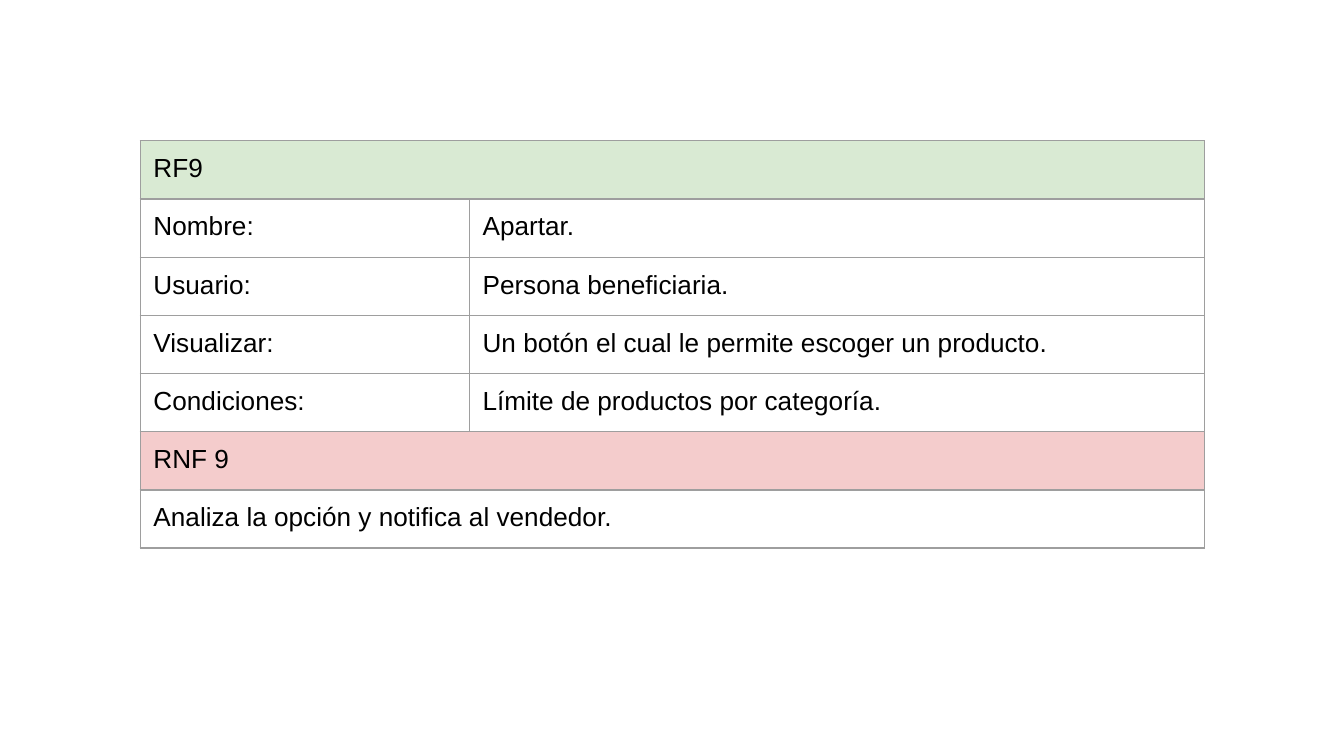
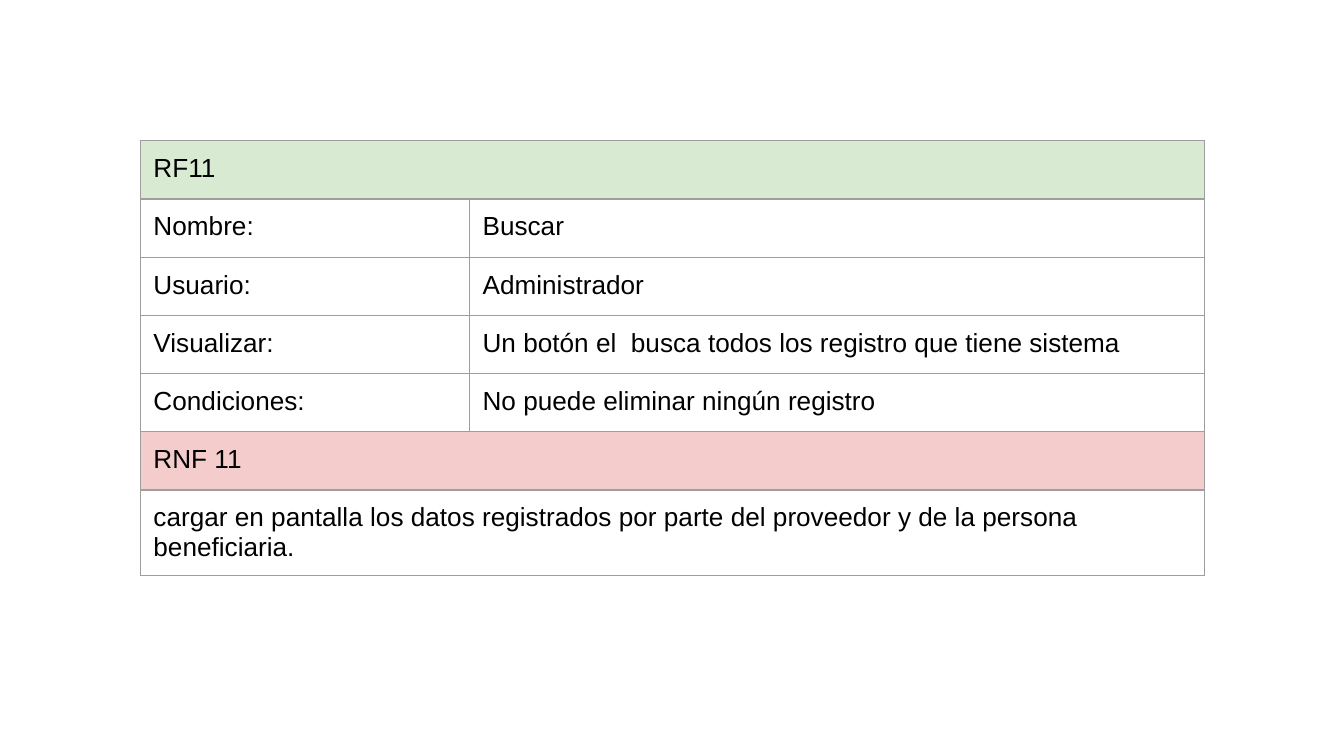
from lxml import etree
from pptx import Presentation
from pptx.dml.color import RGBColor
from pptx.oxml.ns import qn
from pptx.util import Cm, Pt

GREEN, RED, GREY, BLACK = "D9EAD3", "F4CCCC", "9E9E9E", "000000"
LABELS = ["Nombre:", "Usuario:", "Visualizar:", "Condiciones:"]
COLUMN_WIDTHS = [6.22, 13.9]
ROW_HEIGHT = 1.1
MARGINS = dict.fromkeys(["margin_left", "margin_top", "margin_right", "margin_bottom"], Cm(0.25))
FONT = {"name": "Arial", "size": Pt(14), "bold": False}

REQUIREMENTS = [
    ("RF9",
     ["Apartar.", "Persona beneficiaria.",
      "Un botón el cual le permite escoger un producto.",
      "Límite de productos por categoría."],
     "RNF 9", "Analiza la opción y notifica al vendedor."),
    ("RF11",
     ["Buscar", "Administrador",
      "Un botón el  busca todos los registro que tiene sistema",
      "No puede eliminar ningún registro"],
     "RNF 11",
     "cargar en pantalla los datos registrados por parte del proveedor y de la persona beneficiaria."),
]


def format_cell(cell, fill):
    for name, value in MARGINS.items():
        setattr(cell, name, value)
    if fill:
        cell.fill.solid()
        cell.fill.fore_color.rgb = RGBColor.from_string(fill)
    else:
        cell.fill.background()
    # Border lines must come before the fill in the cell properties
    properties = cell._tc.get_or_add_tcPr()
    for position, side in enumerate(["a:lnL", "a:lnR", "a:lnT", "a:lnB"]):
        line = etree.Element(qn(side), w=str(Pt(0.75)))
        solid = etree.SubElement(line, qn("a:solidFill"))
        etree.SubElement(solid, qn("a:srgbClr"), val=GREY)
        properties.insert(position, line)


def write_cell(cell, words):
    span = cell.text_frame.paragraphs[0].add_run()
    span.text = words
    for name, value in FONT.items():
        setattr(span.font, name, value)
    span.font.color.rgb = RGBColor.from_string(BLACK)


deck = Presentation()
deck.slide_width, deck.slide_height = Cm(25.4), Cm(14.29)

for functional, values, non_functional, description in REQUIREMENTS:
    page = deck.slides.add_slide(deck.slide_layouts[6])
    rows = [
        ([functional], GREEN),
        *[(pair, None) for pair in zip(LABELS, values)],
        ([non_functional], RED),
        ([description], None),
    ]
    frame = page.shapes.add_table(len(rows), len(COLUMN_WIDTHS), Cm(2.65), Cm(2.66),
                                  Cm(sum(COLUMN_WIDTHS)), Cm(ROW_HEIGHT * len(rows)))
    table = frame.table
    table.first_row = table.horz_banding = False
    for column, width in zip(table.columns, COLUMN_WIDTHS):
        column.width = Cm(width)

    for index, (texts, fill) in enumerate(rows):
        table.rows[index].height = Cm(ROW_HEIGHT)
        for cell in table.rows[index].cells:
            format_cell(cell, fill)
        if len(texts) == 1:
            table.cell(index, 0).merge(table.cell(index, 1))
        for column_index, words in enumerate(texts):
            write_cell(table.cell(index, column_index), words)

deck.save("out.pptx")
